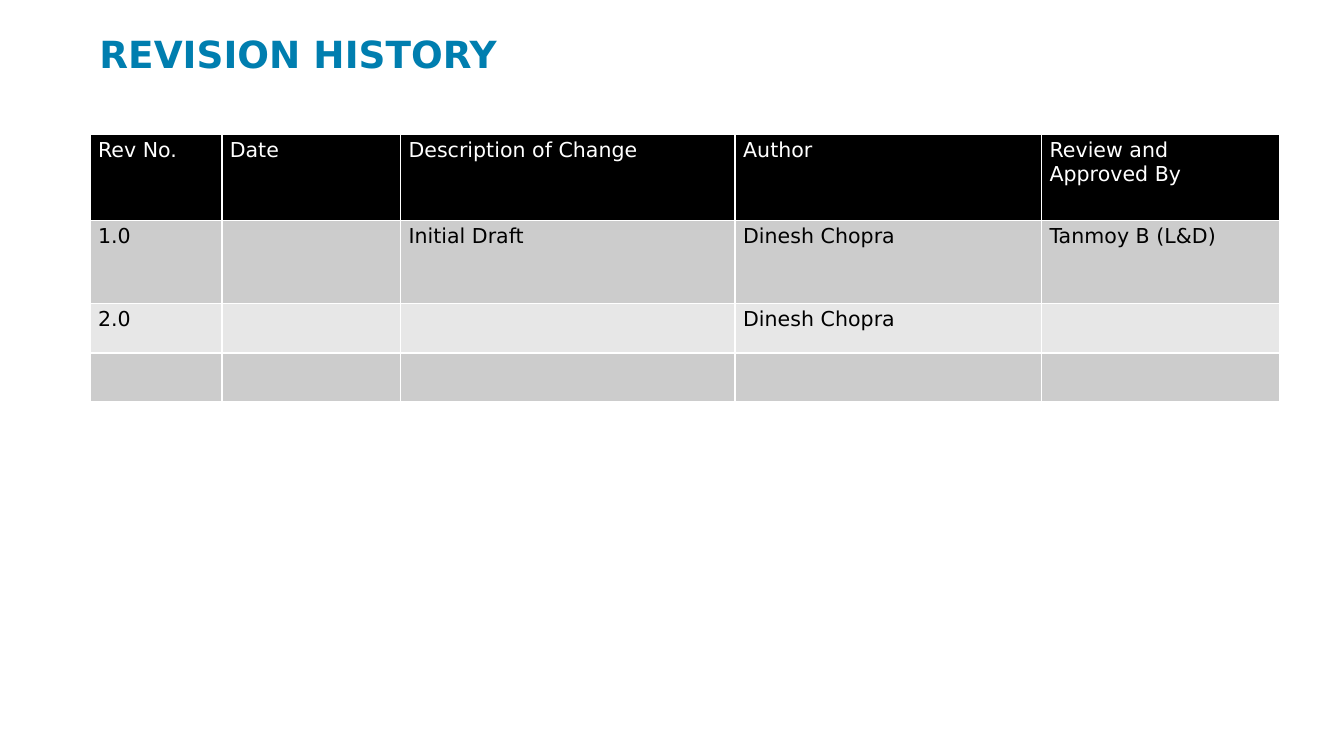
from lxml.etree import SubElement
from pptx import Presentation
from pptx.dml.color import RGBColor
from pptx.enum.text import MSO_ANCHOR, MSO_AUTO_SIZE, PP_ALIGN
from pptx.oxml.ns import qn
from pptx.util import Inches, Pt

FONT = "DejaVu Sans"
BLUE = RGBColor(0x00, 0x7E, 0xAF)
BLACK = RGBColor(0x00, 0x00, 0x00)
WHITE = RGBColor(0xFF, 0xFF, 0xFF)
GREY = RGBColor(0xCC, 0xCC, 0xCC)
PALE = RGBColor(0xE7, 0xE7, 0xE7)

COLS = [0.98, 1.33, 2.49, 2.28, 1.77]
ROWS = [0.64, 0.62, 0.36, 0.36]
CELLS = [
    ["Rev No.", "Date", "Description of Change", "Author", "Review and Approved By"],
    ["1.0", "", "Initial Draft", "Dinesh Chopra", "Tanmoy B (L&D)"],
    ["2.0", "", "", "Dinesh Chopra", ""],
    [""] * 5,
]


def style(para, size, color, bold=False):
    for run in para.runs:
        font = run.font
        font.name, font.size, font.bold = FONT, Pt(size), bold
        font.color.rgb = color


def add_title(slide, text, left, top, width, height):
    title = slide.shapes.title
    title.left, title.top = Inches(left), Inches(top)
    title.width, title.height = Inches(width), Inches(height)
    frame = title.text_frame
    frame.text = text
    frame.word_wrap = True
    frame.auto_size = MSO_AUTO_SIZE.NONE
    frame.vertical_anchor = MSO_ANCHOR.TOP
    frame.margin_left = frame.margin_right = 0
    frame.margin_top = frame.margin_bottom = 0
    para = frame.paragraphs[0]
    para.alignment = PP_ALIGN.LEFT
    para.line_spacing = 0.9
    style(para, 20, BLUE, bold=True)


def set_edges(cell):
    """Draw thin white borders on all four sides."""
    props = cell._tc.get_or_add_tcPr()
    for spot, tag in enumerate(("a:lnL", "a:lnR", "a:lnT", "a:lnB")):
        line = SubElement(props, qn(tag), w=str(Pt(1)))
        fill = SubElement(line, qn("a:solidFill"))
        SubElement(fill, qn("a:srgbClr"), val=str(WHITE))
        props.insert(spot, line)


def fill_cell(cell, text, row):
    head = row == 0
    cell.fill.solid()
    cell.fill.fore_color.rgb = BLACK if head else GREY if row % 2 else PALE
    cell.margin_left = cell.margin_right = Inches(0.06)
    cell.margin_top = cell.margin_bottom = Inches(0.03)
    set_edges(cell)
    if text:
        cell.text_frame.text = text
        style(cell.text_frame.paragraphs[0], 11, WHITE if head else BLACK)


def add_history(slide, left, top, width, height):
    shape = slide.shapes.add_table(
        len(ROWS), len(COLS), Inches(left), Inches(top), Inches(width), Inches(height))
    table = shape.table
    for col, size in zip(table.columns, COLS):
        col.width = Inches(size)
    for row, size in zip(table.rows, ROWS):
        row.height = Inches(size)
    for r, texts in enumerate(CELLS):
        for c, text in enumerate(texts):
            fill_cell(table.cell(r, c), text, r)


def main():
    deck = Presentation()
    deck.slide_width = Inches(10)
    deck.slide_height = deck.slide_width * 9 // 16
    slide = deck.slides.add_slide(deck.slide_layouts[5])
    add_history(slide, 0.67, 1, sum(COLS), sum(ROWS))
    add_title(slide, "REVISION HISTORY", 0.74, 0.27, 9, 0.44)
    deck.save("out.pptx")


if __name__ == "__main__":
    main()
